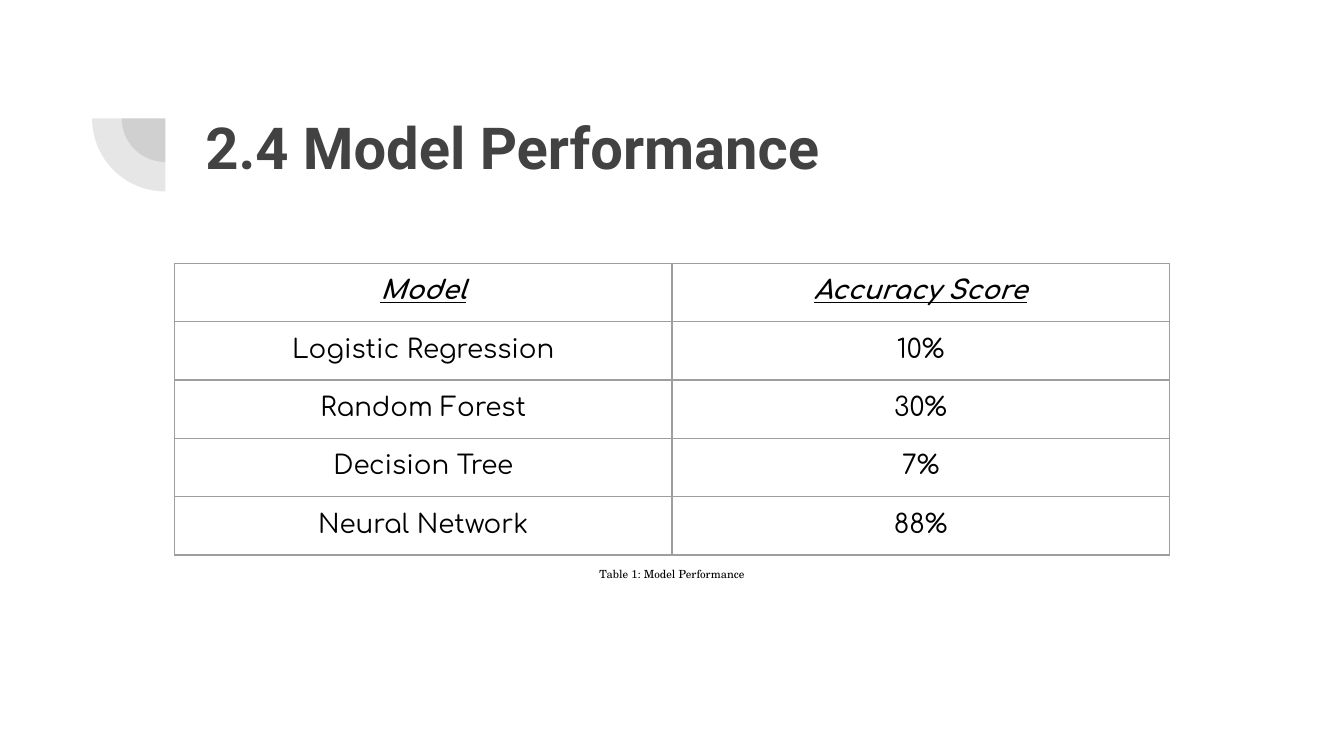
from lxml import etree
from pptx import Presentation
from pptx import util as u
from pptx.dml.color import RGBColor
from pptx.enum import shapes, text
from pptx.oxml.ns import qn

TITLE = "2.4 Model Performance"
CAPTION = "Table 1: Model Performance"
ROWS = [
    ("Model", "Accuracy Score"),
    ("Logistic Regression", "10%"),
    ("Random Forest", "30%"),
    ("Decision Tree", "7%"),
    ("Neural Network", "88%"),
]
INK, BLACK, RULE = "424242", "000000", "9E9E9E"
WIDE = 10
HIGH = WIDE * 9 / 16
COL, ROW, TOP = 3.7, 0.4, 1.96
HUB = (1.23, 0.88)  # shared centre of the two quarter discs
DISCS = [0.65, 1.09]  # diameters


def color(code):
    return RGBColor.from_string(code)


def inches(*sizes):
    return [u.Inches(size) for size in sizes]


def write(frame, words, font, size, ink=BLACK, align=text.PP_ALIGN.CENTER,
          bold=False, italic=False, under=False, lead=1.0, after=0):
    par = frame.paragraphs[0]
    par.alignment = align
    par.line_spacing = lead
    par.space_before, par.space_after = u.Pt(0), u.Pt(after)
    run = par.add_run()
    run.text = words
    face = run.font
    face.name, face.size, face.color.rgb = font, u.Pt(size), color(ink)
    face.bold, face.italic, face.underline = bold, italic, under
    # The paragraph mark shares the font, so it cannot stretch the line.
    mark = etree.SubElement(par._p, qn("a:endParaRPr"), sz=str(size * 100))
    etree.SubElement(mark, qn("a:latin"), typeface=font)


def pad(item):
    """Give a cell or text frame equal margins on all sides."""
    for side in ("left", "top", "right", "bottom"):
        setattr(item, "margin_" + side, u.Inches(0.1))


def box(slide, area, words, **style):
    frame = slide.shapes.add_textbox(*inches(*area)).text_frame
    frame.word_wrap = True
    pad(frame)
    write(frame, words, **style)


def disc(slide, size):
    """Add a see-through quarter disc, lower left of the hub."""
    left, top = (mid - size / 2 for mid in HUB)
    pie = slide.shapes.add_shape(shapes.MSO_SHAPE.PIE,
                                 *inches(left, top, size, size))
    pie.adjustments[0], pie.adjustments[1] = 108, 162
    pie.rotation = 270
    pie.shadow.inherit = False
    pie.line.fill.background()
    pie.fill.solid()
    pie.fill.fore_color.rgb = color(INK)
    tint = pie.fill._xPr.find(".//" + qn("a:srgbClr"))
    etree.SubElement(tint, qn("a:alpha"), val="13000")


def border(cell):
    props = cell._tc.get_or_add_tcPr()
    for side in "LRTB":
        line = etree.SubElement(props, qn("a:ln" + side), w=str(u.Pt(0.75)))
        fill = etree.SubElement(line, qn("a:solidFill"))
        etree.SubElement(fill, qn("a:srgbClr"), val=RULE)


def scores(slide):
    count, cols = len(ROWS), len(ROWS[0])
    wide = cols * COL
    area = inches((WIDE - wide) / 2, TOP, wide, count * ROW)
    grid = slide.shapes.add_table(count, cols, *area).table
    grid.first_row = grid.horz_banding = False
    for r, row in enumerate(ROWS):
        head = r == 0
        for c, words in enumerate(row):
            cell = grid.cell(r, c)
            pad(cell)
            border(cell)
            cell.fill.background()
            write(cell.text_frame, words, "Comfortaa", 14,
                  bold=head, italic=head, under=head)


def main():
    deck = Presentation()
    deck.slide_width, deck.slide_height = inches(WIDE, HIGH)
    slide = deck.slides.add_slide(deck.slide_layouts[6])
    for size in DISCS:
        disc(slide, size)
    box(slide, (1.43, 0.65, 7.69, 1.09), TITLE, font="Roboto", size=31,
        ink=INK, align=text.PP_ALIGN.LEFT, bold=True, lead=1.15, after=12)
    scores(slide)
    span = 1.36
    box(slide, ((WIDE - span) / 2, 4.17, span, 0.3), CAPTION,
        font="TeX Gyre Schola", size=6)
    deck.save("out.pptx")


if __name__ == "__main__":
    main()
